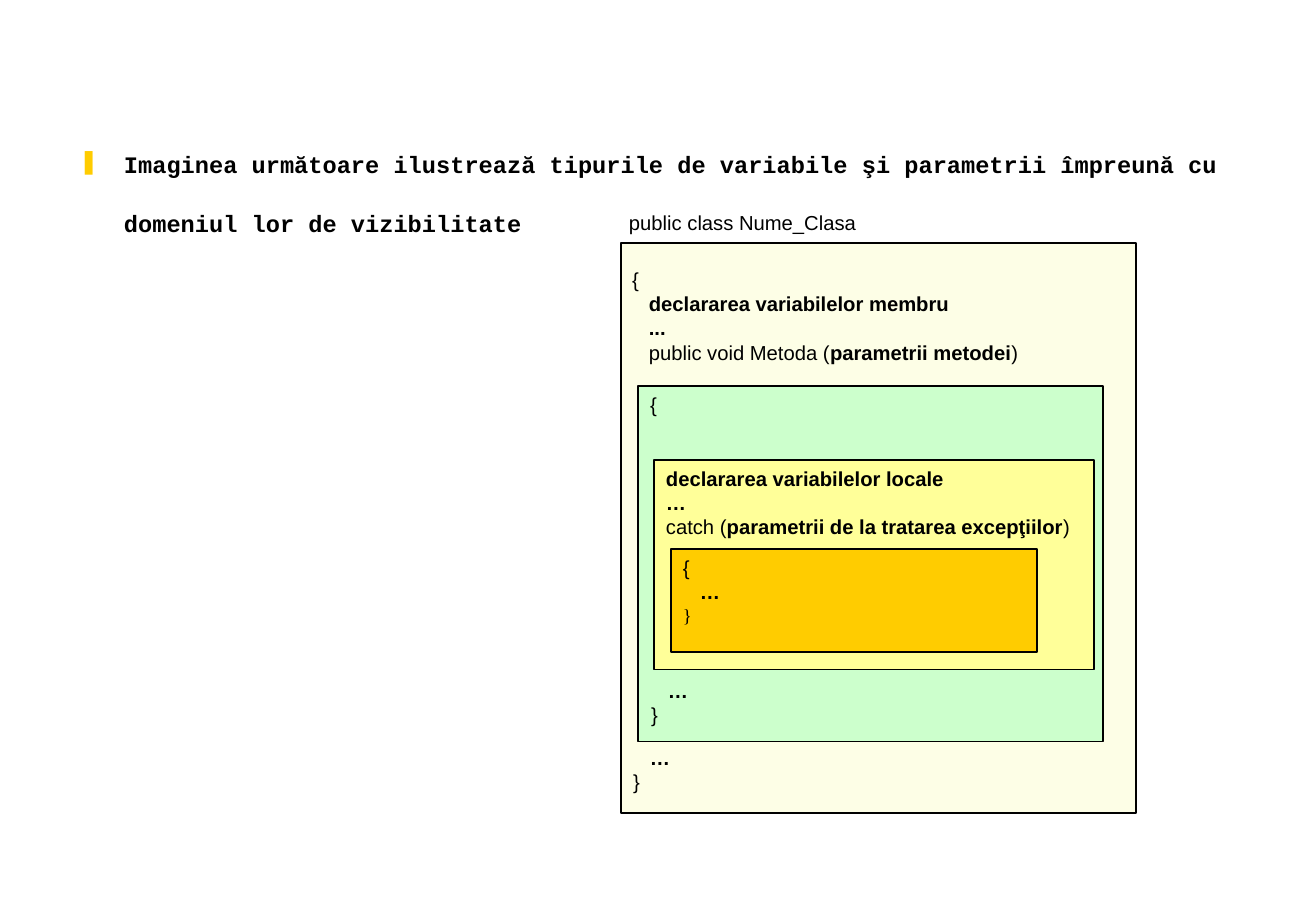
from lxml import etree
from pptx import Presentation
from pptx.dml.color import RGBColor
from pptx.enum.shapes import MSO_SHAPE
from pptx.enum.text import MSO_ANCHOR, PP_ALIGN
from pptx.oxml.ns import qn
from pptx.util import Inches, Pt

RECTANGLE = MSO_SHAPE.RECTANGLE
TOP = MSO_ANCHOR.TOP
LEFT, JUSTIFY = PP_ALIGN.LEFT, PP_ALIGN.JUSTIFY

BLACK = RGBColor(0x00, 0x00, 0x00)
CREAM = RGBColor(0xFD, 0xFE, 0xE6)
GREEN = RGBColor(0xCC, 0xFF, 0xCC)
YELLOW = RGBColor(0xFF, 0xFF, 0x99)
GOLD = RGBColor(0xFF, 0xCC, 0x00)

PX_PER_INCH = 121.5
BOLD_MARK = "**"


def px(length):
    return Inches(length / PX_PER_INCH)


def place(box, left, top, width, height):
    """Box given relative to the corner of another box."""
    return box[0] + left, box[1] + top, width, height


def style(font, **values):
    font.color.rgb = BLACK
    for name, value in values.items():
        setattr(font, name, value)


def set_frame(frame, inset_x, inset_y):
    values = {
        "word_wrap": True, "vertical_anchor": TOP,
        "margin_left": px(inset_x), "margin_right": px(inset_x),
        "margin_top": px(inset_y), "margin_bottom": px(inset_y),
    }
    for name, value in values.items():
        setattr(frame, name, value)


def write_code(frame, lines):
    """Write code lines; the parts between bold marks are bold."""
    set_frame(frame, 12, 6)
    for number, line in enumerate(lines):
        paragraph = frame.paragraphs[0] if number == 0 else frame.add_paragraph()
        paragraph.alignment = LEFT
        for index, part in enumerate(line.split(BOLD_MARK)):
            if part:
                run = paragraph.add_run()
                run.text = part
                style(run.font, name="Arial", size=Pt(12), bold=index % 2 == 1)


def add_code(slide, box, lines):
    label = slide.shapes.add_textbox(*map(px, box))
    write_code(label.text_frame, lines)


def add_scope(slide, box, fill, lines=()):
    scope = slide.shapes.add_shape(RECTANGLE, *map(px, box))
    scope.shadow.inherit = False
    scope.fill.solid()
    scope.fill.fore_color.rgb = fill
    scope.line.color.rgb = BLACK
    scope.line.width = Pt(0.75)
    write_code(scope.text_frame, lines)
    return scope


def add_statement(slide, box):
    frame = slide.shapes.add_textbox(*map(px, box)).text_frame
    set_frame(frame, 12, 0)
    statement = frame.paragraphs[0]
    statement.line_spacing = Pt(35)

    # Gold bar bullet with a hanging indent
    properties = statement._p.get_or_add_pPr()
    properties.set("marL", str(px(46)))
    properties.set("indent", str(-px(45)))
    bullet_color = etree.SubElement(properties, qn("a:buClr"))
    etree.SubElement(bullet_color, qn("a:srgbClr"), val=str(GOLD))
    etree.SubElement(properties, qn("a:buChar"), char="❚")

    run = statement.add_run()
    run.text = ("Imaginea următoare ilustrează tipurile de variabile şi parametrii "
                "împreună cu domeniul lor de vizibilitate")
    style(run.font, name="Courier New", size=Pt(14), bold=True)


def add_scope_diagram(slide, box):
    # Class scope
    add_scope(slide, box, CREAM)
    add_code(slide, place(box, -4, -39, 499, 53), ["public class Nume_Clasa"])
    add_code(slide, place(box, -1, 18, 492, 142), [
        "{",
        "   **declararea variabilelor membru**",
        "   **...**",
        "   public void Metoda (**parametrii metodei**)",
    ])
    closing = ["   **…**", "}"]
    add_code(slide, place(box, 0, 496, 366, 72), closing)

    # Method scope
    method = place(box, 17, 143, 465, 356)
    add_scope(slide, method, GREEN, ["{"])
    add_code(slide, place(method, 1, 286, 366, 72), closing)

    # Local variables scope
    local = place(method, 16, 74, 440, 210)
    add_scope(slide, local, YELLOW, [
        "**declararea variabilelor locale**",
        "**…**",
        "catch (**parametrii de la tratarea excepţiilor**)",
    ])

    # Exception handler scope
    handler = add_scope(slide, place(local, 17, 89, 366, 103), GOLD,
                        ["{", "   **…**", "}"])
    closing_brace = handler.text_frame.paragraphs[-1]
    closing_brace.alignment = JUSTIFY
    style(closing_brace.runs[0].font, name="Times New Roman", size=Pt(11))


def main():
    presentation = Presentation()
    presentation.slide_width = px(1316)
    presentation.slide_height = px(911)
    slide = presentation.slides.add_slide(presentation.slide_layouts[6])
    add_statement(slide, (66, 119, 1177, 140))
    add_scope_diagram(slide, (621, 243, 515, 570))
    presentation.save("out.pptx")


if __name__ == "__main__":
    main()
